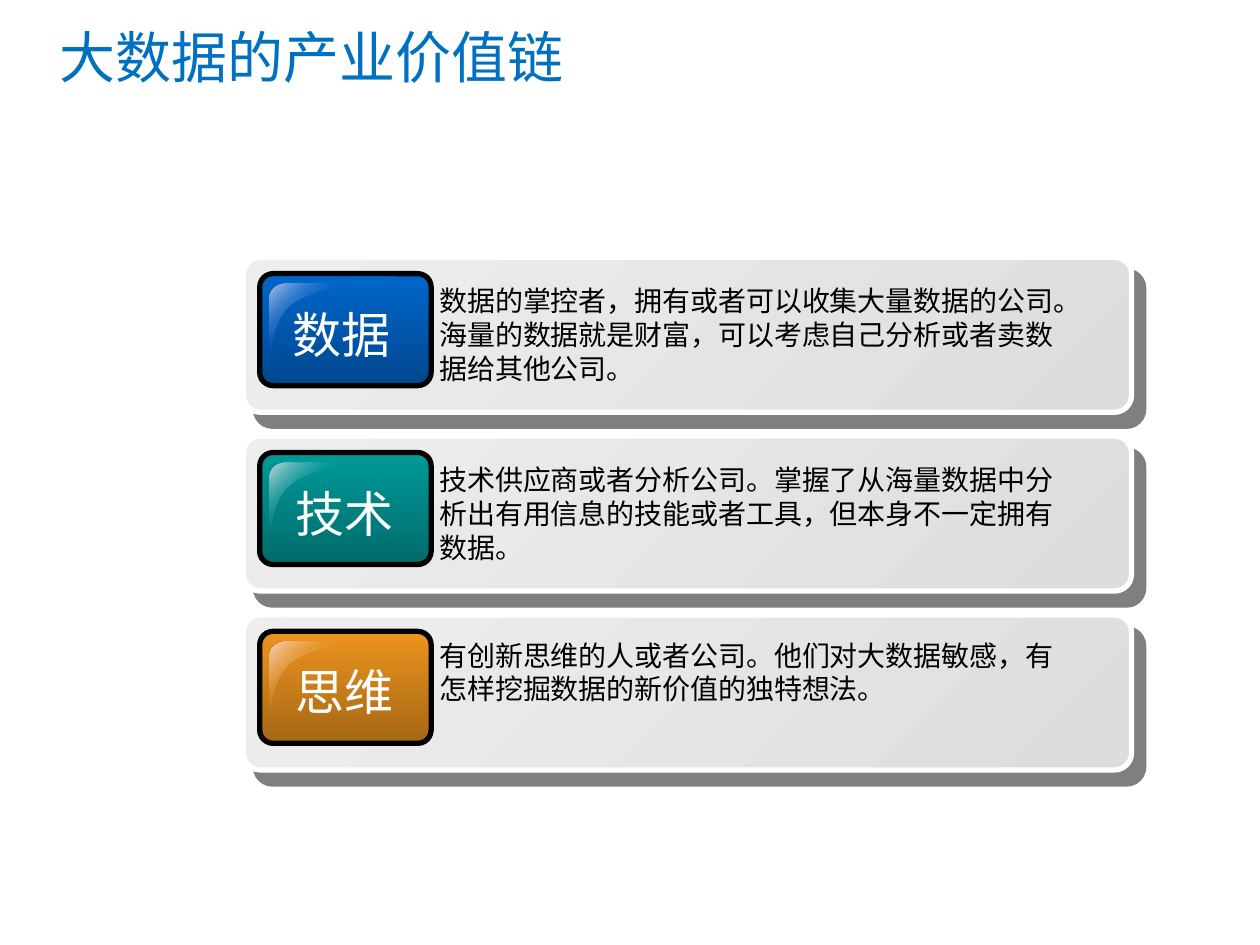
import pptx
import pptx.dml.color
import pptx.enum.shapes
import pptx.enum.text
import pptx.oxml.ns
import pptx.util
from lxml import etree

Pt = pptx.util.Pt
qn = pptx.oxml.ns.qn
ALIGN = pptx.enum.text.PP_ALIGN
ROUNDED = pptx.enum.shapes.MSO_SHAPE.ROUNDED_RECTANGLE


def rgb(value):
    return pptx.dml.color.RGBColor.from_string(value)


def fill_gradient(shape, angle, stops):
    """Fill with (percent, colour, opacity percent) stops, angle clockwise."""
    shape.fill.gradient()
    shape.fill.gradient_angle = -angle % 360
    stop_list = shape.element.spPr.find(qn("a:gradFill")).find(qn("a:gsLst"))
    for old_stop in list(stop_list):
        stop_list.remove(old_stop)
    for percent, colour, opacity in stops:
        stop = etree.SubElement(stop_list, qn("a:gs"), pos=str(percent * 1000))
        solid = etree.SubElement(stop, qn("a:srgbClr"), val=colour)
        etree.SubElement(solid, qn("a:alpha"), val=str(opacity * 1000))


deck = pptx.Presentation()
deck.slide_width, deck.slide_height = Pt(720), Pt(540)
page = deck.slides.add_slide(deck.slide_layouts[5])

title = page.shapes.title
title.left, title.top, title.width, title.height = Pt(-146), Pt(6.5), Pt(648), Pt(90)
title.text_frame.vertical_anchor = pptx.enum.text.MSO_ANCHOR.TOP
para = title.text_frame.paragraphs[0]
para.alignment = ALIGN.CENTER
para.line_spacing = Pt(41)
span = para.add_run()
span.text = "大数据的产业价值链"
span.font.name = "Noto Sans CJK SC"
span.font.size = Pt(32)
span.font.color.rgb = rgb("0070C0")

# Label, label left, button top and bottom colours, gloss colour,
# description, its offset from the card top and its height
rows = [
    ("数据", 154, "0066CC", "00478E", "B5C0E5",
     "数据的掌控者，拥有或者可以收集大量数据的公司。海量的数据就是财富，可以考虑自己分析或者卖数据给其他公司。",
     11.5, 65.5),
    ("技术", 156, "009999", "006B6B", "C9DBDB",
     "技术供应商或者分析公司。掌握了从海量数据中分析出有用信息的技能或者工具，但本身不一定拥有数据。",
     11.5, 65.5),
    ("思维", 156, "EC941E", "A56715", "F6D4BF",
     "有创新思维的人或者公司。他们对大数据敏感，有怎样挖掘数据的新价值的独特想法。",
     9.5, 46),
]

# Gloss outline: Bézier curves, relative to its top left corner
curves = [
    [(9.4, 0), (4.3, 0), (0, 3.6), (0, 8)],
    [(0, 41.8), (2, 42), (0.7, 21.6), (13, 12.2)],
    [(13, 12.2), (25, 3), (48.5, 2.2), (48.5, 0)],
]
steps = 12
gloss_points = []
for curve in curves:
    for step in range(steps + 1):
        t = step / steps
        weights = ((1 - t) ** 3, 3 * t * (1 - t) ** 2, 3 * t * t * (1 - t), t ** 3)
        gloss_points.append(tuple(
            sum(weight * point[axis] for weight, point in zip(weights, curve))
            for axis in (0, 1)))

for index, row in enumerate(rows):
    label, label_left, light, dark, shine, description, offset, height = row
    top = 147 + index * 102.2

    card = page.shapes.add_shape(ROUNDED, Pt(139), Pt(top), Pt(507.6), Pt(88.6))
    card.adjustments[0] = 0.11
    fill_gradient(card, 45, [(0, "EEEEEE", 100), (100, "DDDDDD", 100)])
    card.line.color.rgb = rgb("FFFFFF")
    card.shadow.inherit = False
    shadow = etree.SubElement(
        card.element.spPr.find(qn("a:effectLst")), qn("a:outerShdw"),
        dist=str(Pt(10.6)), dir=str(49 * 60000), algn="ctr", rotWithShape="0")
    shadow_colour = etree.SubElement(shadow, qn("a:srgbClr"), val="000000")
    etree.SubElement(shadow_colour, qn("a:alpha"), val="50000")

    button = page.shapes.add_shape(ROUNDED, Pt(148.4), Pt(top + 9.4), Pt(98), Pt(64))
    button.adjustments[0] = 0.12
    fill_gradient(button, 90, [(0, light, 100), (100, dark, 100)])
    button.line.color.rgb = rgb("000000")
    button.shadow.inherit = False
    card.line.width = button.line.width = Pt(3)

    outline = [(Pt(154 + x), Pt(top + 15 + y)) for x, y in gloss_points]
    builder = page.shapes.build_freeform(*outline[0])
    builder.add_line_segments(outline[1:], close=True)
    gloss = builder.convert_to_shape()
    fill_gradient(gloss, 45, [(0, shine, 100), (50, light, 0), (100, shine, 100)])
    gloss.line.fill.background()
    gloss.shadow.inherit = False

    texts = [
        (label, label_left, top + 23, 82, 41, 28, "FFFFFF", ALIGN.CENTER),
        (description, 244, top + offset, 373, height, 16, "000000", ALIGN.LEFT),
    ]
    for words, left, text_top, width, text_height, size, colour, alignment in texts:
        box = page.shapes.add_textbox(Pt(left), Pt(text_top), Pt(width), Pt(text_height))
        box.text_frame.word_wrap = True
        box.text_frame.auto_size = pptx.enum.text.MSO_AUTO_SIZE.SHAPE_TO_FIT_TEXT
        para = box.text_frame.paragraphs[0]
        para.alignment = alignment
        para.line_spacing = Pt(size * 1.21)
        span = para.add_run()
        span.text = words
        span.font.name = "Arial"
        span.font.size = Pt(size)
        span.font.color.rgb = rgb(colour)

deck.save("out.pptx")
